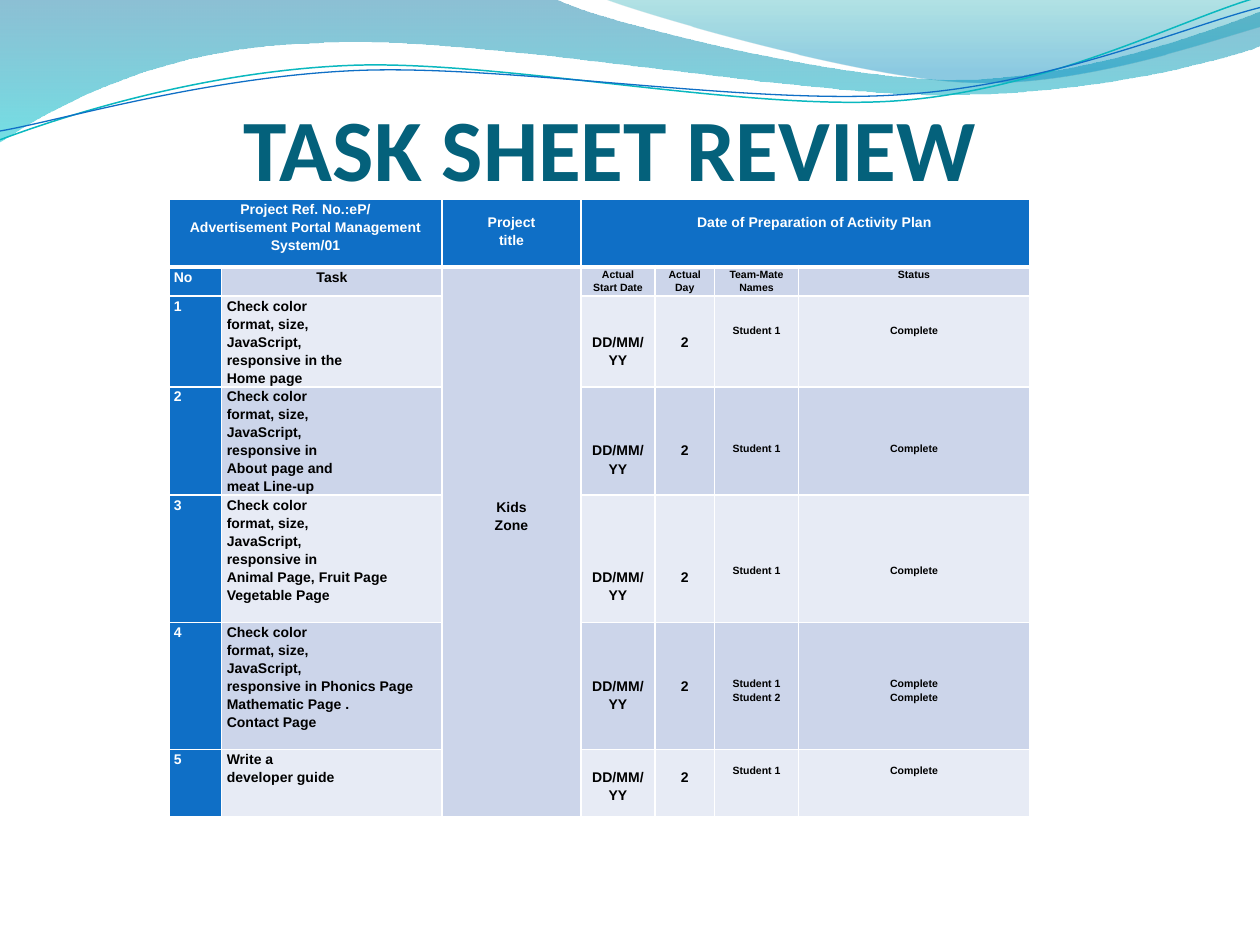
import pptx
import pptx.dml.color
import pptx.enum.text
import pptx.util
from lxml import etree
from pptx.oxml.ns import qn

Inches = pptx.util.Inches
Pt = pptx.util.Pt
ALIGN = pptx.enum.text.PP_ALIGN
ANCHOR = pptx.enum.text.MSO_ANCHOR

COLORS = {
    "title": "04617B", "header": "0F6FC6", "band_dark": "CCD5EA",
    "band_light": "E7EBF5", "white": "FFFFFF", "black": "000000",
    "wave_blue": "0074A1", "wave_cyan": "00C6CF", "wave_teal": "00A1A9",
    "wave_sky": "008BBF", "teal_line": "0AB8BF", "blue_line": "0F6FC6",
}
LINE_HEIGHT = {8: Pt(10.3), 6: Pt(7.75)}  # one line of text at 1.15 spacing
COLUMN_WIDTHS = [0.42, 1.75, 1.1, 0.59, 0.47, 0.67, 1.83]
ROW_HEIGHTS = [0.54, 0.23, 0.72, 0.86, 1.01, 1.01, 0.53]
CHECK = ["Check color", "format, size,", "JavaScript,"]
# task lines, lines above the date, lines above the student, students
TASKS = [
    (CHECK + ["responsive in the", "Home page"], 2, 2, ["Student 1"]),
    (CHECK + ["responsive in", "About page and", "meat Line-up"], 3, 4, ["Student 1"]),
    (CHECK + ["responsive in", "Animal Page, Fruit Page", "Vegetable Page"], 4, 5, ["Student 1"]),
    (CHECK + ["responsive in Phonics Page", "Mathematic Page .", "Contact Page"], 3, 4,
     ["Student 1", "Student 2"]),
    (["Write a", "developer guide"], 1, 1, ["Student 1"]),
]
# Each wave: start point, then straight steps (one point) or curves (three points)
BROAD_WAVE = [
    [(0, 0)], [(4.4, -0.01)],
    [(4.76, 0.17), (6.64, 0.63), (7.58, 0.63)],
    [(8.53, 0.63), (9.58, 0.26), (10, 0.09)], [(10.01, 0.36)],
    [(9.83, 0.44), (8.7, 0.76), (7.46, 0.75)],
    [(6.22, 0.75), (3.82, 0.28), (2.57, 0.34)],
    [(1.29, 0.36), (0.46, 0.83), (-0.01, 1.13)],
]
RIGHT_WAVE = [
    [(4.79, -0.01)],
    [(5.09, 0.11), (6.82, 0.62), (7.69, 0.65)],
    [(8.56, 0.69), (9.61, 0.32), (10, 0.21)], [(10, 0)],
]
TEAL_LINE = [
    [(0, 1.11)],
    [(0.48, 0.93), (1.58, 0.57), (2.77, 0.52)],
    [(3.95, 0.47), (5.93, 0.89), (7.13, 0.8)],
    [(8.33, 0.71), (9.38, 0.15), (9.98, -0.02)],
]
BLUE_LINE = [
    [(0, 1.04)],
    [(0.47, 0.96), (1.64, 0.61), (2.83, 0.56)],
    [(4.03, 0.51), (5.97, 0.84), (7.17, 0.75)],
    [(8.36, 0.67), (9.41, 0.21), (10, 0.06)],
]


def rgb(name):
    return pptx.dml.color.RGBColor.from_string(COLORS[name])


def add_outline(slide, steps, left, top, closed):
    """Build a freeform, then join each step of three points into one curve."""
    points = [(left + Inches(x), top + Inches(y)) for step in steps for x, y in step]
    builder = slide.shapes.build_freeform(*points[0])
    builder.add_line_segments(points[1:], close=closed)
    shape = builder.convert_to_shape()
    shape.shadow.inherit = False
    segments = iter(shape.element.spPr.findall(".//" + qn("a:lnTo")))
    for step in steps[1:]:
        first, *others = [next(segments) for point in step]
        if others:
            curve = etree.Element(qn("a:cubicBezTo"))
            first.addprevious(curve)
            for segment in [first] + others:
                curve.append(segment[0])
                segment.getparent().remove(segment)
    return shape


def add_wave(slide, steps, left, top, stops):
    """Fill a wave from top to bottom; each stop is (position, color, opacity percent)."""
    shape = add_outline(slide, steps, left, top, closed=True)
    shape.line.fill.background()
    shape.fill.gradient()
    shape.fill.gradient_angle = 270
    for stop, (position, color, opacity) in zip(shape.fill.gradient_stops, stops):
        stop.position = position
        stop.color.rgb = rgb(color)
    color_elements = shape.element.spPr.findall(".//" + qn("a:gs") + "/" + qn("a:srgbClr"))
    for element, (position, color, opacity) in zip(color_elements, stops):
        etree.SubElement(element, qn("a:alpha"), val=str(opacity * 1000))


def add_wave_line(slide, steps, left, top, color, width):
    shape = add_outline(slide, steps, left, top, closed=False)
    shape.fill.background()
    shape.line.color.rgb = rgb(color)
    shape.line.width = Pt(width)


def add_waves(slide, left, top):
    add_wave(slide, BROAD_WAVE, left, top, [(0, "wave_blue", 45), (1, "wave_cyan", 55)])
    add_wave(slide, RIGHT_WAVE, left, top, [(0, "wave_teal", 30), (0.8, "wave_sky", 45)])
    add_wave_line(slide, TEAL_LINE, left, top, "teal_line", 0.85)
    add_wave_line(slide, BLUE_LINE, left, top, "blue_line", 0.75)


def add_run(paragraph, text, font_name, size, color):
    run = paragraph.add_run()
    run.text = text
    run.font.name = font_name
    run.font.size = Pt(size)
    run.font.bold = True
    run.font.color.rgb = rgb(color)


def add_title(slide, left, top, width, height):
    frame = slide.shapes.add_textbox(left, top, width, height).text_frame
    frame.word_wrap = True
    frame.vertical_anchor = ANCHOR.BOTTOM
    frame.margin_left = frame.margin_right = frame.margin_bottom = 0
    frame.margin_top = Inches(0.05)
    frame.paragraphs[0].alignment = ALIGN.CENTER
    add_run(frame.paragraphs[0], "TASK SHEET REVIEW ", "Calibri", 50, "title")


def style_cell(cell, fill, top_border=1, bottom_border=1):
    properties = cell._tc.get_or_add_tcPr()
    for side, width in zip("LRTB", (1, 1, top_border, bottom_border)):
        line = etree.SubElement(properties, qn("a:ln" + side), w=str(Pt(width)))
        solid = etree.SubElement(line, qn("a:solidFill"))
        etree.SubElement(solid, qn("a:srgbClr"), val=COLORS["white"])
    cell.fill.solid()
    cell.fill.fore_color.rgb = rgb(fill)
    cell.margin_left = cell.margin_right = Inches(0.04)
    cell.margin_top = cell.margin_bottom = 0


def write_cell(cell, lines, size=8, color="black", align=ALIGN.CENTER, space_above=0,
               line_spacing=1.15):
    cell.margin_top = space_above
    frame = cell.text_frame
    for index, text in enumerate(lines):
        paragraph = frame.add_paragraph() if index else frame.paragraphs[0]
        paragraph.alignment = align
        paragraph.line_spacing = line_spacing
        add_run(paragraph, text, "Arial", size, color)


def add_task_table(slide, left, top, width, height):
    table = slide.shapes.add_table(len(ROW_HEIGHTS), len(COLUMN_WIDTHS),
                                   left, top, width, height).table
    table.first_row = table.horz_banding = False
    for column, share in zip(table.columns, COLUMN_WIDTHS):
        column.width = int(width * share / sum(COLUMN_WIDTHS))
    for row, share in zip(table.rows, ROW_HEIGHTS):
        row.height = int(height * share / sum(ROW_HEIGHTS))
    for row in range(len(ROW_HEIGHTS)):
        band = "band_dark" if row % 2 else "band_light"
        for column in range(len(COLUMN_WIDTHS)):
            fill = "header" if row == 0 or column == 0 else "band_dark" if column == 2 else band
            style_cell(table.cell(row, column), fill,
                       top_border=3 if row == 1 else 1, bottom_border=3 if row == 0 else 1)
    table.cell(0, 0).merge(table.cell(0, 1))
    table.cell(0, 3).merge(table.cell(0, 6))
    table.cell(1, 2).merge(table.cell(6, 2))

    write_cell(table.cell(0, 0), ["Project Ref. No.:eP/",
                                  "Advertisement Portal Management System/01"], color="white")
    write_cell(table.cell(0, 2), ["Project", "title"], color="white", space_above=LINE_HEIGHT[6])
    write_cell(table.cell(0, 3), ["Date of Preparation of Activity Plan"], color="white",
               space_above=LINE_HEIGHT[6])
    table.cell(0, 3).margin_left = Inches(0.19)
    write_cell(table.cell(1, 0), ["No"], color="white", align=ALIGN.LEFT)
    write_cell(table.cell(1, 1), ["Task"])
    write_cell(table.cell(1, 2), ["Kids", "Zone"], space_above=17 * LINE_HEIGHT[6])
    headings = [["Actual", "Start Date"], ["Actual", "Day"], ["Team-Mate", "Names"], ["Status"]]
    for column, lines in enumerate(headings, start=3):
        write_cell(table.cell(1, column), lines, size=6)

    for number, (task, date_drop, student_drop, students) in enumerate(TASKS, start=1):
        cells = [table.cell(number + 1, column) for column in range(len(COLUMN_WIDTHS))]
        write_cell(cells[0], [str(number)], color="white", align=ALIGN.LEFT)
        write_cell(cells[1], task, align=ALIGN.LEFT, line_spacing=LINE_HEIGHT[8])
        for cell, text in ((cells[3], "DD/MM/YY"), (cells[4], "2")):
            write_cell(cell, [text], space_above=date_drop * LINE_HEIGHT[8])
        for cell, lines in ((cells[5], students), (cells[6], ["Complete"] * len(students))):
            write_cell(cell, lines, size=6, space_above=student_drop * LINE_HEIGHT[6])


def main():
    presentation = pptx.Presentation()
    presentation.slide_width = Inches(10)
    presentation.slide_height = Inches(7.5)
    slide = presentation.slides.add_slide(presentation.slide_layouts[6])
    add_waves(slide, Inches(0), Inches(0))
    add_title(slide, Inches(0.42), Inches(0.33), Inches(9), Inches(1.25))
    add_task_table(slide, Inches(1.34), Inches(1.58), Inches(6.83), Inches(4.9))
    presentation.save("out.pptx")


if __name__ == "__main__":
    main()
